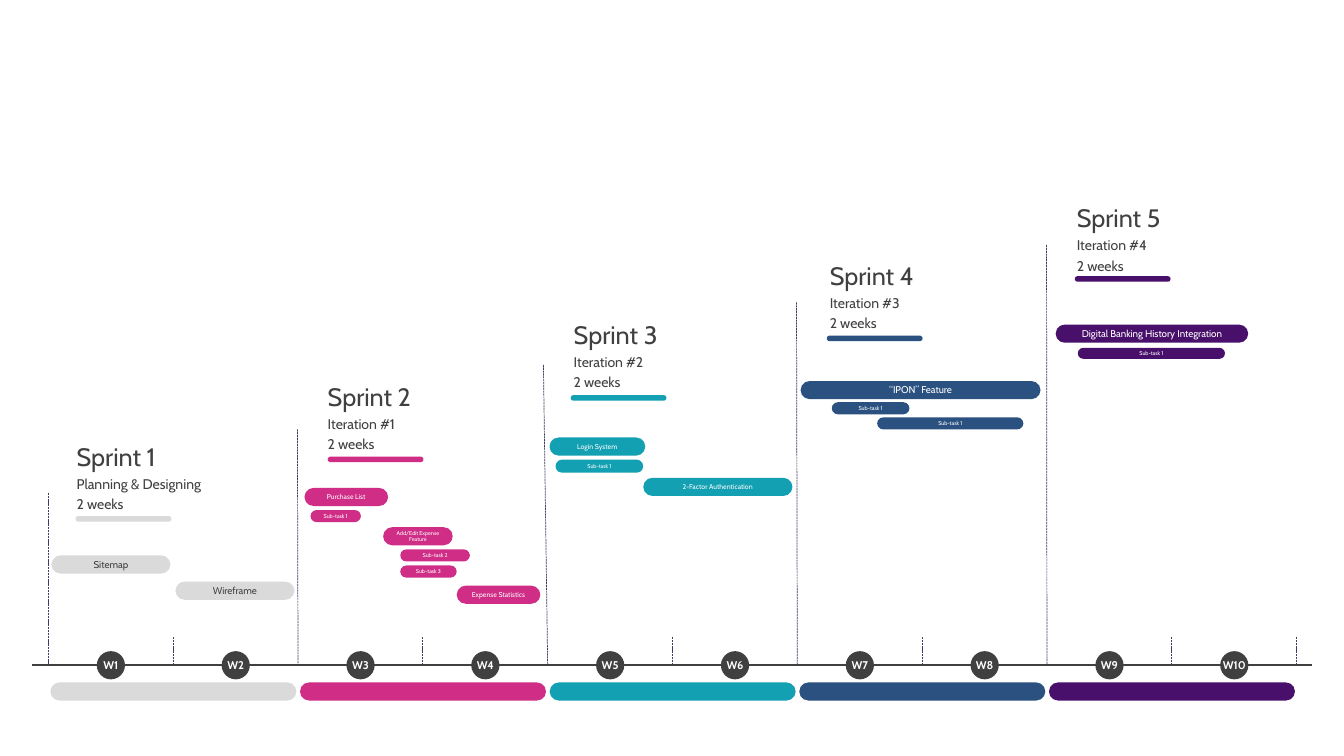
"""Build a five-sprint timeline with week markers and stepped task bars."""
import pptx
import pptx.dml.color
import pptx.enum.dml
import pptx.enum.shapes
import pptx.enum.text
import pptx.oxml.ns
import pptx.util
from lxml import etree

Inches = pptx.util.Inches
Pt = pptx.util.Pt
RGBColor = pptx.dml.color.RGBColor
SHAPE = pptx.enum.shapes.MSO_SHAPE
ALIGN = pptx.enum.text.PP_ALIGN

GREY = RGBColor(0xDA, 0xDA, 0xDA)
PINK = RGBColor(0xCF, 0x2D, 0x86)
TEAL = RGBColor(0x12, 0xA0, 0xB2)
BLUE = RGBColor(0x2B, 0x51, 0x81)
PURPLE = RGBColor(0x48, 0x10, 0x6A)
DARK = RGBColor(0x40, 0x40, 0x40)
DASH = RGBColor(0x3D, 0x3D, 0x66)
WHITE = RGBColor(0xFF, 0xFF, 0xFF)

FONT = "Cabin"
LEFT = 0.48
AXIS_Y = 6.6
WEEKS = 10
WEEK_W = (12.86 - LEFT) / WEEKS

# Each sprint: colour, text colour, subtitle, heading left and top,
# underline left and top, divider top x and y, tasks.
SPRINTS = [
    (GREY, DARK, "Planning & Designing", (0.76, 4.38), (0.75, 5.12), (0.48, 4.89), [
        ("Sitemap", 0.51, 5.51, 1.18, 0.18, 7),
        ("Wireframe", 1.74, 5.77, 1.18, 0.18, 7),
    ]),
    (PINK, WHITE, "Iteration #1", (3.25, 3.78), (3.25, 4.53), (2.95, 4.26), [
        ("Purchase List", 3.02, 4.84, 0.83, 0.18, 5),
        ("Sub-task 1", 3.08, 5.06, 0.5, 0.12, 4),
        ("Add/Edit Expense Feature", 3.8, 5.23, 0.69, 0.18, 4),
        ("Sub-task 2", 3.97, 5.45, 0.69, 0.12, 4),
        ("Sub-task 3", 3.97, 5.61, 0.56, 0.12, 4),
        ("Expense Statistics", 4.53, 5.81, 0.83, 0.18, 5),
    ]),
    (TEAL, WHITE, "Iteration #2", (5.69, 3.17), (5.66, 3.92), (5.39, 3.62), [
        ("Login System", 5.45, 4.34, 0.95, 0.18, 5),
        ("Sub-task 1", 5.51, 4.56, 0.87, 0.13, 4),
        ("2-Factor Authentication", 6.38, 4.74, 1.48, 0.18, 5),
    ]),
    (BLUE, WHITE, "Iteration #3", (8.23, 2.58), (8.2, 3.33), (7.9, 3), [
        ("“IPON” Feature", 7.94, 3.78, 2.38, 0.18, 7),
        ("Sub-task 1", 8.25, 3.99, 0.77, 0.12, 4),
        ("Sub-task 1", 8.7, 4.14, 1.45, 0.12, 4),
    ]),
    (PURPLE, WHITE, "Iteration #4", (10.68, 2.01), (10.66, 2.74), (10.38, 2.43), [
        ("Digital Banking History Integration", 10.47, 3.22, 1.91, 0.18, 7),
        ("Sub-task 1", 10.69, 3.45, 1.46, 0.11, 4),
    ]),
]

prs = pptx.Presentation()
prs.slide_width = Inches(13.33)
prs.slide_height = Inches(7.5)
s = prs.slides.add_slide(prs.slide_layouts[6])


def add_line(x1, y1, x2, y2, color, width, dash=None):
    c = s.shapes.add_connector(pptx.enum.shapes.MSO_CONNECTOR.STRAIGHT,
                               Inches(x1), Inches(y1), Inches(x2), Inches(y2))
    c.line.color.rgb = color
    c.line.width = Pt(width)
    c.line.dash_style = dash
    etree.SubElement(c._element.spPr, pptx.oxml.ns.qn("a:effectLst"))


def add_filled(kind, x, y, w, h, fill, text="", size=8, color=WHITE):
    sp = s.shapes.add_shape(kind, Inches(x), Inches(y), Inches(w), Inches(h))
    sp.shadow.inherit = False
    sp.fill.solid()
    sp.fill.fore_color.rgb = fill
    sp.line.fill.background()
    if kind == SHAPE.ROUNDED_RECTANGLE:
        sp.adjustments[0] = 0.5
    if text:
        sp.text_frame.vertical_anchor = pptx.enum.text.MSO_ANCHOR.MIDDLE
        p = sp.text_frame.paragraphs[0]
        p.text = text
        p.alignment = ALIGN.CENTER
        p.font.name = FONT
        p.font.size = Pt(size)
        p.font.color.rgb = color
    return sp


SYS_DASH = pptx.enum.dml.MSO_LINE.SQUARE_DOT
for k in [1, 3, 5, 7, 9, WEEKS]:
    x = LEFT + k * WEEK_W
    add_line(x, 6.32, x, AXIS_Y - 0.01, DASH, 0.5, SYS_DASH)
add_line(13.01, AXIS_Y, 0.32, AXIS_Y, DARK, 1.25)

for k in range(WEEKS):
    sp = add_filled(SHAPE.OVAL, 0.96 + k * WEEK_W, AXIS_Y - 0.14, 0.28, 0.28, DARK, f"W{k + 1}")
    tf = sp.text_frame
    tf.margin_left = tf.margin_right = tf.margin_top = tf.margin_bottom = 0
    tf.word_wrap = False
    tf.paragraphs[0].font.bold = True

for i, (color, ink, subtitle, heading, underline, divider, tasks) in enumerate(SPRINTS):
    start = LEFT + 2 * i * WEEK_W
    add_filled(SHAPE.ROUNDED_RECTANGLE, start + 0.02, 6.77, 2.44, 0.18, color)
    add_line(*divider, start, AXIS_Y, DASH, 0.5, SYS_DASH)

    x, y = heading
    for text, dy, h, size in [(f"Sprint {i + 1}", 0, 0.3, 18),
                              (subtitle, 0.34, 0.17, 10),
                              ("2 weeks", 0.54, 0.26, 10)]:
        tf = s.shapes.add_textbox(Inches(x), Inches(y + dy), Inches(1.42), Inches(h)).text_frame
        tf.margin_left = tf.margin_right = tf.margin_top = tf.margin_bottom = 0
        tf.word_wrap = True
        p = tf.paragraphs[0]
        p.text = text
        p.font.name = FONT
        p.font.size = Pt(size)
        p.font.color.rgb = DARK
    add_filled(SHAPE.ROUNDED_RECTANGLE, *underline, 0.95, 0.055, color)

    for text, x, y, w, h, size in tasks:
        add_filled(SHAPE.ROUNDED_RECTANGLE, x, y, w, h, color, text, size, ink)

prs.save("out.pptx")
